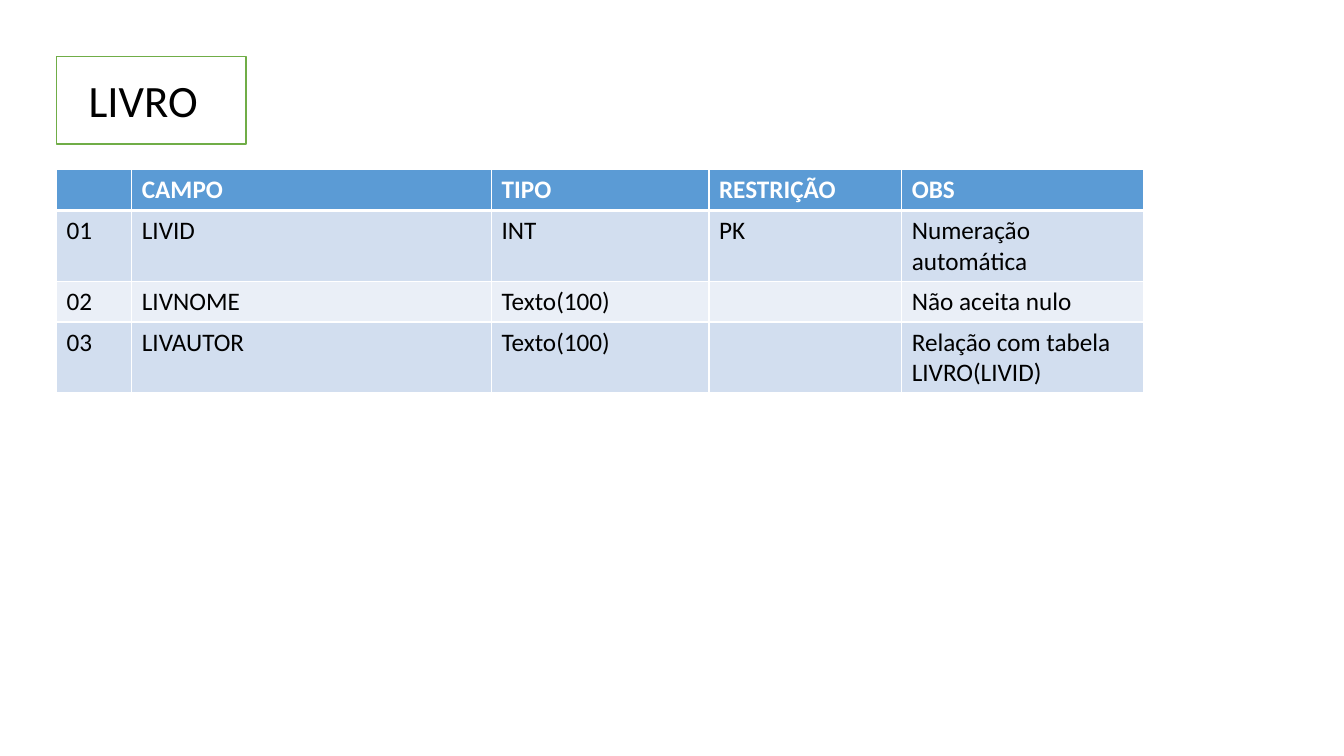
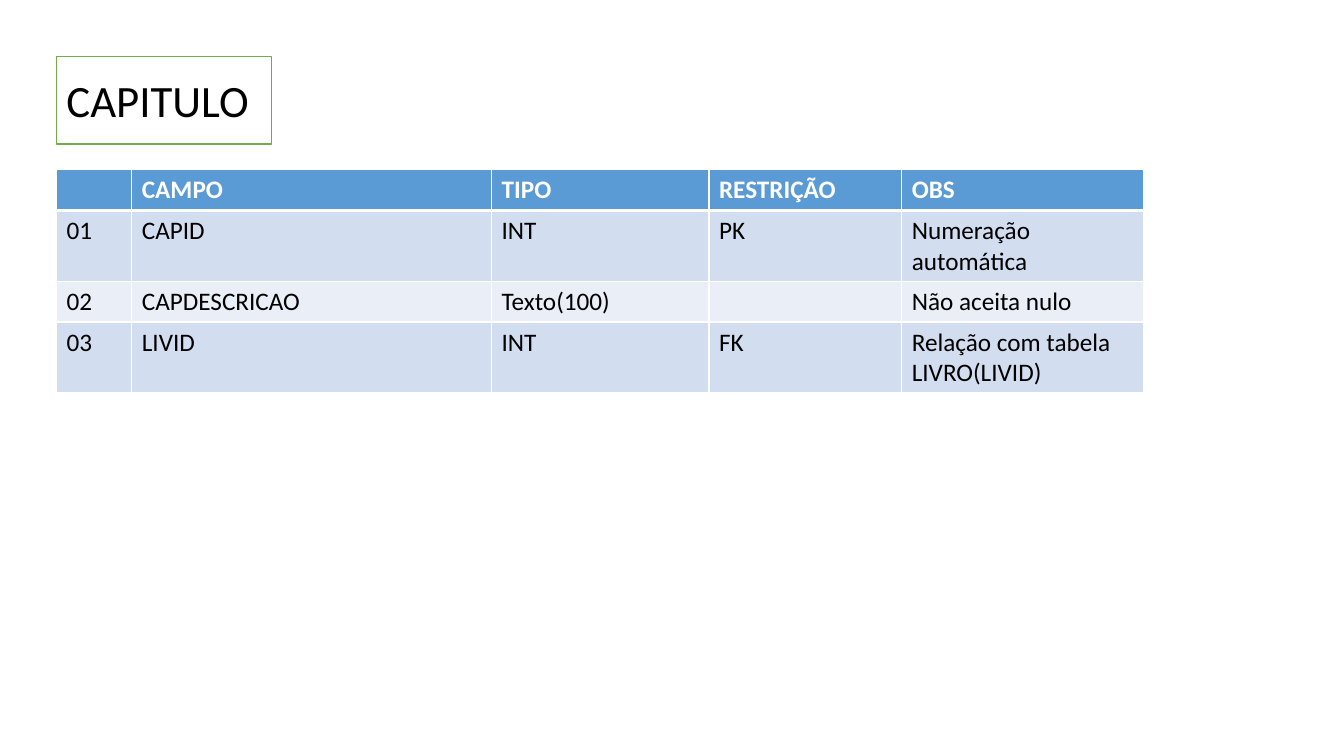
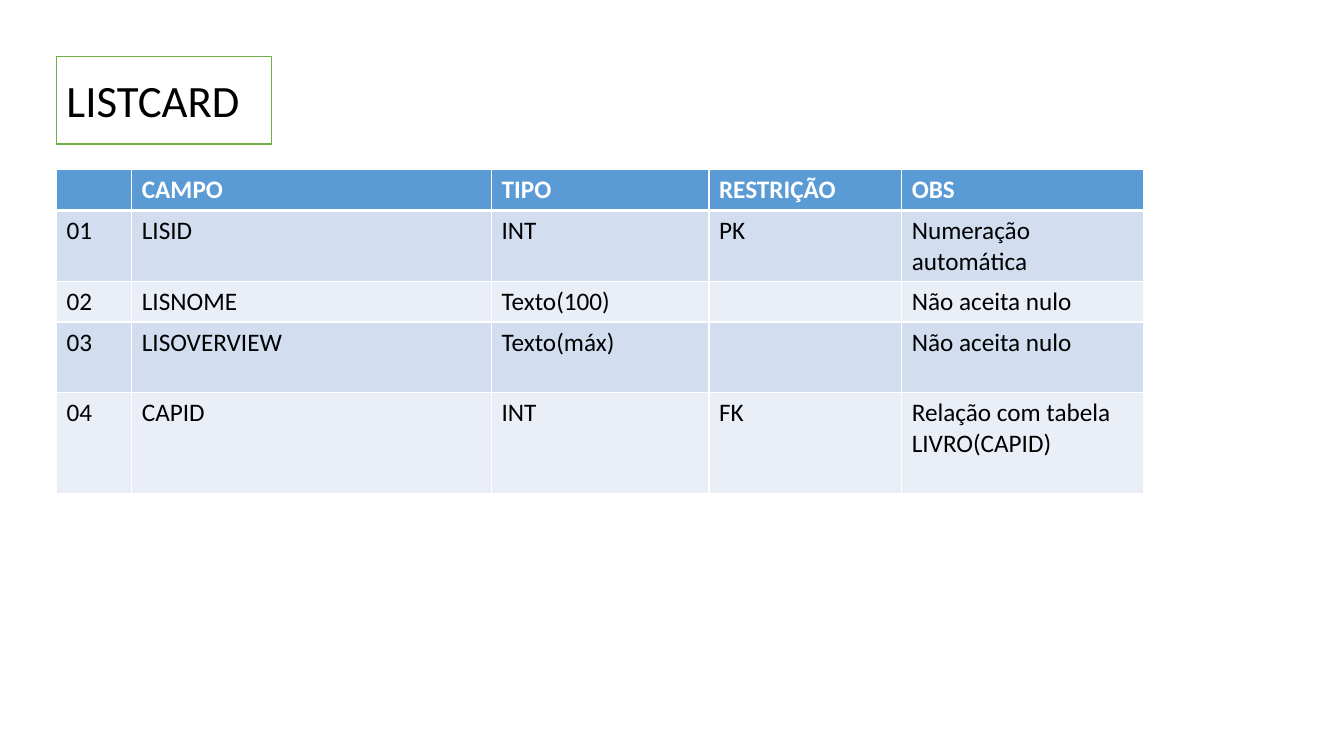
"""Build three slides that describe the fields of the LIVRO, CAPITULO and LISTCARD tables."""
from lxml import etree
from pptx import Presentation
from pptx import util as u
from pptx.dml.color import RGBColor
from pptx.enum import shapes, text
from pptx.oxml.ns import qn

COLORS = {"white": "FFFFFF", "black": "000000", "green": "70AD47",
          "header": "5B9BD5", "odd": "D2DEEF", "even": "EAEFF7"}
TITLE = {"size": u.Pt(32), "name": "Calibri", "bold": False}
HEADER = {"size": u.Pt(18), "name": "Calibri", "bold": True}
BODY = {**HEADER, "bold": False}

LEFT = 40.4
COLUMN_WIDTHS = [53.8, 257, 155.3, 137.7, 172.8]
ROW_HEIGHTS = [29.2, 50.4, 29.2, 50.4, 72]
HEADINGS = ["", "CAMPO", "TIPO", "RESTRIÇÃO", "OBS"]
AUTO, REQUIRED = "Numeração automática", "Não aceita nulo"

entities = [
    ("LIVRO", 135.4, 56.2, 137.5, [
        ("LIVID", "INT", "PK", AUTO),
        ("LIVNOME", "Texto(100)", "", REQUIRED),
        ("LIVAUTOR", "Texto(100)", "", "Relação com tabela LIVRO(LIVID)")]),
    ("CAPITULO", 153.4, LEFT, 195, [
        ("CAPID", "INT", "PK", AUTO),
        ("CAPDESCRICAO", "Texto(100)", "", REQUIRED),
        ("LIVID", "INT", "FK", "Relação com tabela LIVRO(LIVID)")]),
    ("LISTCARD", 153.4, LEFT, 195, [
        ("LISID", "INT", "PK", AUTO),
        ("LISNOME", "Texto(100)", "", REQUIRED),
        ("LISOVERVIEW", "Texto(máx)", "", REQUIRED),
        ("CAPID", "INT", "FK", "Relação com tabela LIVRO(CAPID)")]),
]


def write(frame, words, style, color):
    run = frame.paragraphs[0].add_run()
    run.text = words
    for attribute, value in style.items():
        setattr(run.font, attribute, value)
    run.font.color.rgb = RGBColor.from_string(COLORS[color])


def add_borders(cell, row_index):
    widths = {"lnL": 1, "lnR": 1, "lnT": 3 if row_index == 1 else 1, "lnB": 3 if row_index == 0 else 1}
    properties = cell._tc.get_or_add_tcPr()
    for edge, width in widths.items():
        line = etree.SubElement(properties, qn(f"a:{edge}"), w=str(u.Pt(width)))
        paint = etree.SubElement(line, qn("a:solidFill"))
        etree.SubElement(paint, qn("a:srgbClr"), val=COLORS["white"])


deck = Presentation()
deck.slide_width, deck.slide_height = u.Pt(960), u.Pt(540)

for entity, frame_width, title_left, title_width, fields in entities:
    slide = deck.slides.add_slide(deck.slide_layouts[6])

    title_frame = slide.shapes.add_shape(
        shapes.MSO_SHAPE.RECTANGLE, u.Pt(LEFT), u.Pt(40.4), u.Pt(frame_width), u.Pt(62.6))
    title_frame.shadow.inherit = False
    title_frame.fill.solid()
    title_frame.fill.fore_color.rgb = RGBColor.from_string(COLORS["white"])
    title_frame.line.color.rgb = RGBColor.from_string(COLORS["green"])
    title_frame.line.width = u.Pt(1)

    title = slide.shapes.add_textbox(u.Pt(title_left), u.Pt(48.4), u.Pt(title_width), u.Pt(46)).text_frame
    title.word_wrap = True
    title.auto_size = text.MSO_AUTO_SIZE.SHAPE_TO_FIT_TEXT
    write(title, entity, TITLE, "black")

    rows = [HEADINGS] + [[f"{number:02}", *field] for number, field in enumerate(fields, 1)]
    heights = ROW_HEIGHTS[:len(rows)]
    field_table = slide.shapes.add_table(
        len(rows), len(HEADINGS), u.Pt(LEFT), u.Pt(121.2),
        u.Pt(sum(COLUMN_WIDTHS)), u.Pt(sum(heights))).table
    field_table.horz_banding = False
    for column, width in zip(field_table.columns, COLUMN_WIDTHS):
        column.width = u.Pt(width)

    for row_index, (entries, height) in enumerate(zip(rows, heights)):
        field_table.rows[row_index].height = u.Pt(height)
        band = "header" if row_index == 0 else "odd" if row_index % 2 else "even"
        style, ink = (HEADER, "white") if row_index == 0 else (BODY, "black")
        for column_index, entry in enumerate(entries):
            cell = field_table.cell(row_index, column_index)
            add_borders(cell, row_index)
            cell.fill.solid()
            cell.fill.fore_color.rgb = RGBColor.from_string(COLORS[band])
            if entry:
                write(cell.text_frame, entry, style, ink)

deck.save("out.pptx")
